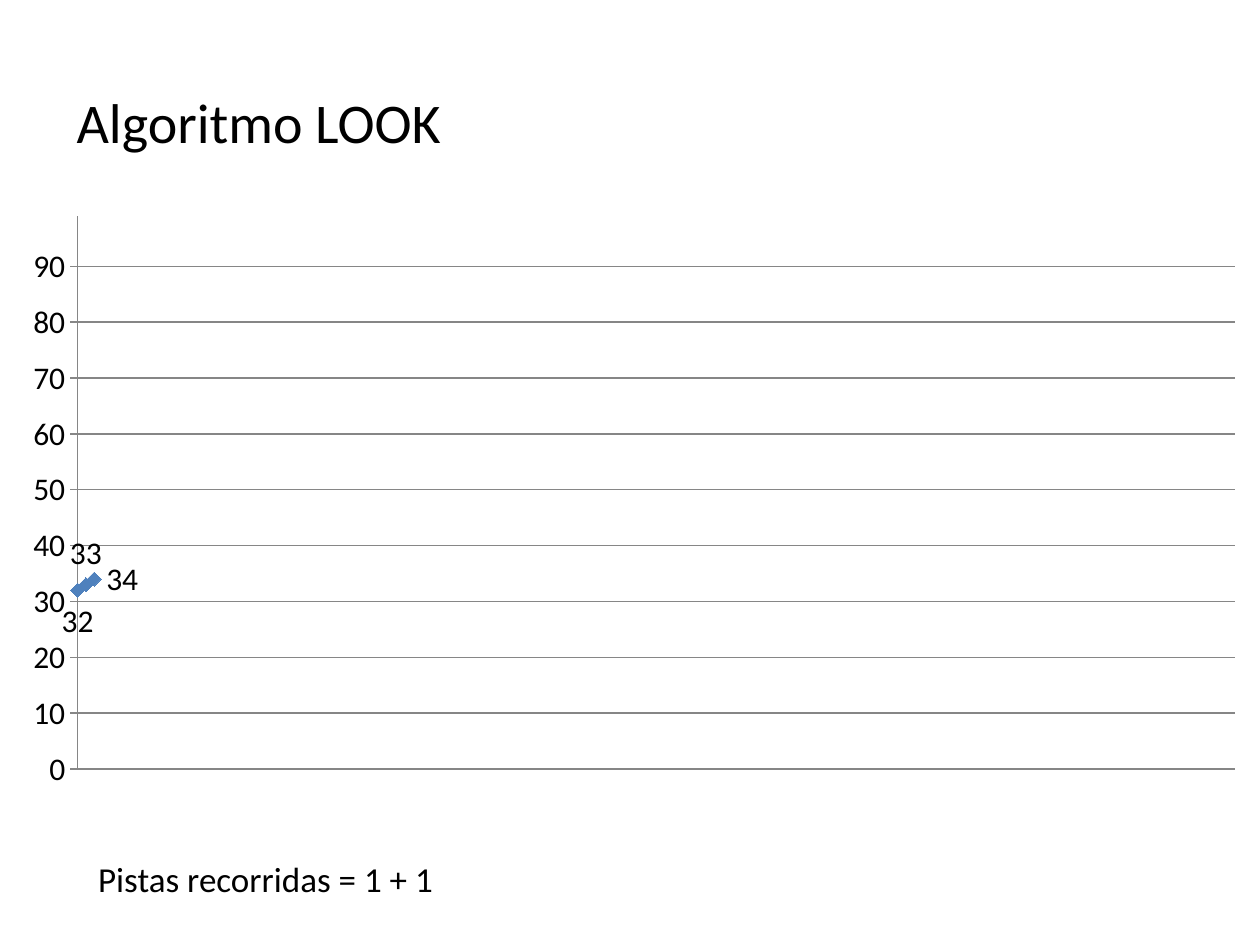
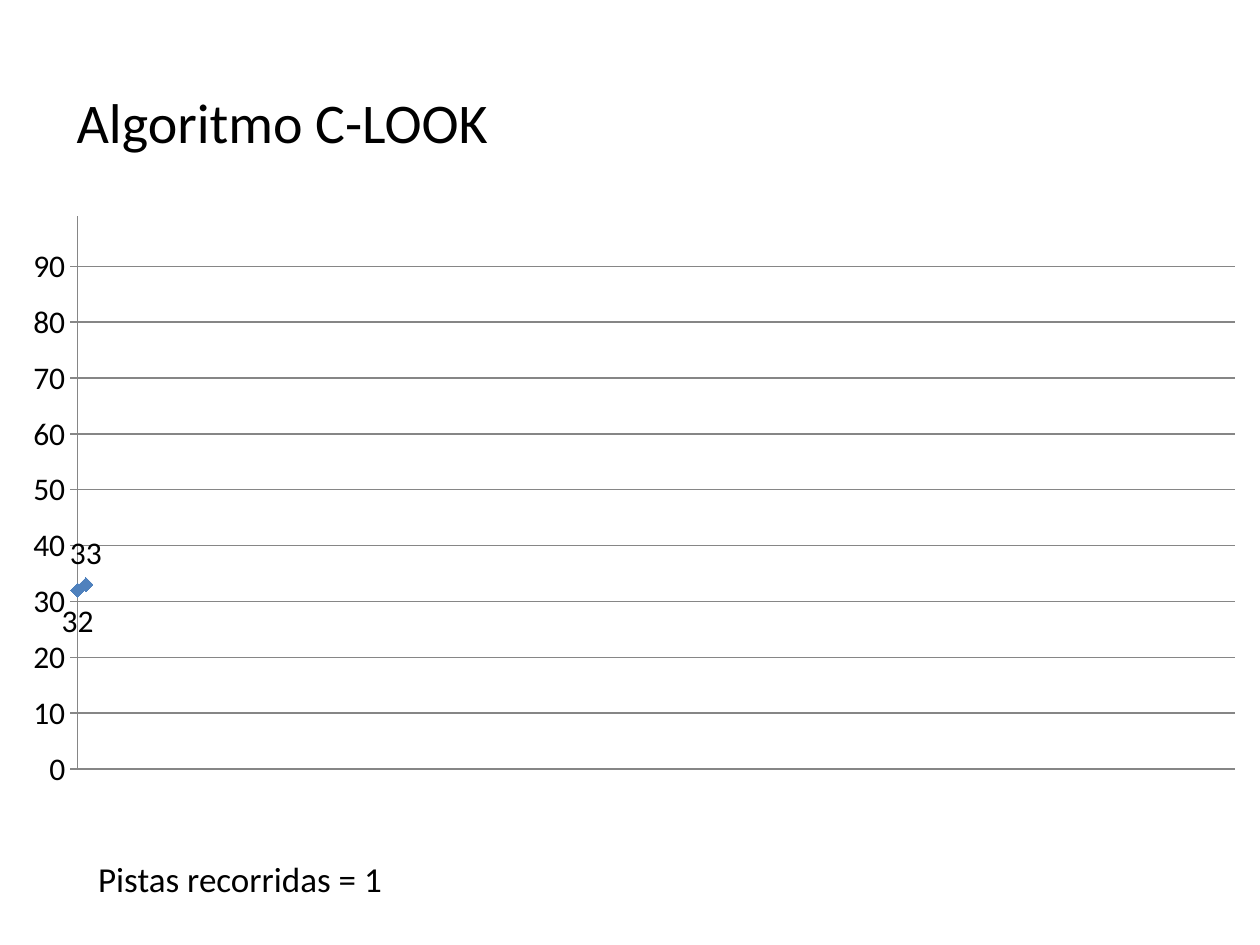
from dataclasses import dataclass

from pptx import Presentation
from pptx.chart.data import XyChartData
from pptx.dml.color import RGBColor as Rgb
from pptx.enum.chart import XL_CHART_TYPE as ChartType
from pptx.enum.chart import XL_LABEL_POSITION as LabelSide
from pptx.enum.chart import XL_MARKER_STYLE as Marker
from pptx.enum.chart import XL_TICK_LABEL_POSITION as TickLabels
from pptx.enum.chart import XL_TICK_MARK as Tick
from pptx.enum.text import MSO_ANCHOR as Anchor
from pptx.oxml import parse_xml
from pptx.oxml.ns import nsdecls
from pptx.util import Inches, Pt


@dataclass(frozen=True)
class Theme:
    """Colours, font and type sizes shared by the slides."""
    font: str = "Calibri"
    ink: Rgb = Rgb(0, 0, 0)
    grid: Rgb = Rgb(0x86, 0x86, 0x86)
    track: Rgb = Rgb(0x4F, 0x81, 0xBD)
    title_size: Pt = Pt(32)
    total_size: Pt = Pt(20)
    chart_size: Pt = Pt(18)


THEME = Theme()
TITLE_BOX = (0.51, 0.29, 9, 1.34)
CHART_BOX = (0.07, 1.62, 9.93, 4.72)
TOTAL_BOX = (0.68, 6.58, 8.42, 0.79)
PLOT_AREA = {"x": 0.055, "y": 0.02, "w": 0.925, "h": 0.93}
LABEL_SIDES = (LabelSide.BELOW, LabelSide.ABOVE, LabelSide.RIGHT)

REQUEST_AXIS = {
    "minimum_scale": 0, "maximum_scale": 139,
    "has_major_gridlines": False, "major_tick_mark": Tick.NONE,
    "minor_tick_mark": Tick.NONE, "tick_label_position": TickLabels.NONE,
}
TRACK_AXIS = {
    "minimum_scale": 0, "maximum_scale": 99, "major_unit": 10,
    "has_major_gridlines": True, "major_tick_mark": Tick.OUTSIDE,
    "minor_tick_mark": Tick.NONE,
}
ALGORITHMS = (
    ("Algoritmo LOOK", (32, 33, 34), "Pistas recorridas = 1 + 1"),
    ("Algoritmo C-LOOK", (32, 33), "Pistas recorridas = 1"),
)


def apply_format(target, values):
    """Set each named attribute of the target."""
    for name, value in values.items():
        setattr(target, name, value)


def style_font(font, size):
    """Give a font the theme's face and colour at the given size."""
    apply_format(font, {"name": THEME.font, "size": size})
    font.color.rgb = THEME.ink


def add_text(slide, box, text, size):
    """Add a vertically centred line of text."""
    frame = slide.shapes.add_textbox(*map(Inches, box)).text_frame
    apply_format(frame, {"word_wrap": True, "vertical_anchor": Anchor.MIDDLE})
    line = frame.paragraphs[0].add_run()
    line.text = text
    style_font(line.font, size)


def place_plot_area(chart):
    """Fix the inner plot area as fractions of the chart."""
    plot_area = chart.element.xpath("c:chart/c:plotArea")[0]
    for automatic in plot_area.xpath("c:layout"):
        plot_area.remove(automatic)
    modes = '<c:xMode val="edge"/><c:yMode val="edge"/>'
    extents = "".join(f'<c:{side} val="{share}"/>' for side, share in PLOT_AREA.items())
    plot_area.insert(0, parse_xml(
        f'<c:layout {nsdecls("c")}><c:manualLayout><c:layoutTarget val="inner"/>'
        f"{modes}{extents}</c:manualLayout></c:layout>"))


def style_axis(axis, values):
    """Apply scale, ticks and line colours to an axis."""
    apply_format(axis, values)
    lines = [axis.format.line]
    if axis.has_major_gridlines:
        lines.append(axis.major_gridlines.format.line)
    for line in lines:
        line.color.rgb = THEME.grid
        line.width = Pt(0.75)


def style_head_path(head_path, point_count):
    """Style the line, markers and point labels of the head path."""
    head_path.smooth = False
    head_path.format.line.color.rgb = THEME.track
    head_path.format.line.width = Pt(0.75)
    marker = head_path.marker
    apply_format(marker, {"style": Marker.DIAMOND, "size": 8})
    marker.format.fill.solid()
    marker.format.fill.fore_color.rgb = THEME.track
    marker.format.line.color.rgb = THEME.track
    for index in range(point_count):
        label = head_path.points[index].data_label
        style_font(label.font, THEME.chart_size)
        label.position = LABEL_SIDES[index]


def add_track_chart(slide, tracks):
    """Add the scatter chart of the tracks visited in order."""
    visits = XyChartData()
    series = visits.add_series("Series 1")
    for order, track in enumerate(tracks):
        series.add_data_point(order, track)
    chart = slide.shapes.add_chart(
        ChartType.XY_SCATTER_LINES, *map(Inches, CHART_BOX), visits).chart
    apply_format(chart, {"has_legend": False, "has_title": False})
    style_font(chart.font, THEME.chart_size)
    place_plot_area(chart)
    style_axis(chart.category_axis, REQUEST_AXIS)
    style_axis(chart.value_axis, TRACK_AXIS)
    plot = chart.plots[0]
    plot.vary_by_categories = False
    style_head_path(plot.series[0], len(tracks))


def main():
    """Build one slide for each disk scheduling algorithm."""
    deck = Presentation()
    apply_format(deck, {"slide_width": Inches(10), "slide_height": Inches(7.5)})
    for title, tracks, total in ALGORITHMS:
        slide = deck.slides.add_slide(deck.slide_layouts[6])
        add_track_chart(slide, tracks)
        add_text(slide, TITLE_BOX, title, THEME.title_size)
        add_text(slide, TOTAL_BOX, total, THEME.total_size)
    deck.save("out.pptx")


if __name__ == "__main__":
    main()
